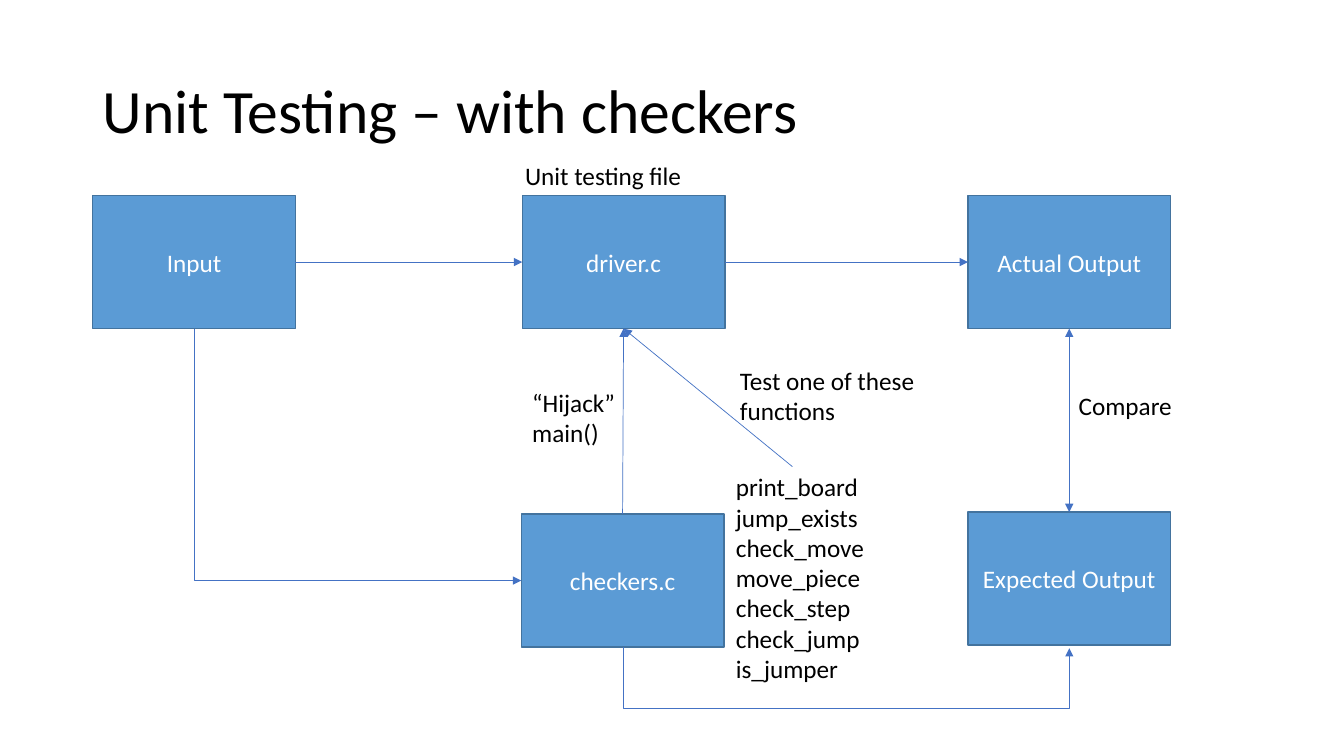
import pptx
import pptx.util
import pptx.dml.color
import pptx.enum.shapes
import pptx.enum.text
import pptx.oxml
import pptx.oxml.ns
from lxml import etree

Inches = pptx.util.Inches
Pt = pptx.util.Pt
ALIGN = pptx.enum.text.PP_ALIGN
ANCHOR = pptx.enum.text.MSO_ANCHOR
CONNECTOR = pptx.enum.shapes.MSO_CONNECTOR
COLORS = {
    "text": "000000",
    "box": "5B9BD5",
    "box_line": "43739E",
    "box_text": "FFFFFF",
    "arrow": "4472C4",
}
BOX_WIDTH, BOX_HEIGHT = 2.01, 1.32
TOP, LEFT, BOTTOM, RIGHT = range(4)


def rgb(name):
    return pptx.dml.color.RGBColor.from_string(COLORS[name])


def write(shape, text, size=18, color="text", align=ALIGN.LEFT, anchor=ANCHOR.TOP, spacing=1.0):
    frame = shape.text_frame
    frame.word_wrap = True
    frame.auto_size = pptx.enum.text.MSO_AUTO_SIZE.NONE
    frame.vertical_anchor = anchor
    frame.text = text
    for paragraph in frame.paragraphs:
        paragraph.alignment = align
        paragraph.line_spacing = spacing
        font = paragraph.font
        font.name, font.size, font.color.rgb = "Calibri", Pt(size), rgb(color)


def add_label(slide, text, left, top, width, height):
    label = slide.shapes.add_textbox(*map(Inches, (left, top, width, height)))
    write(label, text)


def add_box(slide, text, left, top):
    box = slide.shapes.add_shape(
        pptx.enum.shapes.MSO_SHAPE.RECTANGLE,
        *map(Inches, (left, top, BOX_WIDTH, BOX_HEIGHT)))
    box.shadow.inherit = False
    box.fill.solid()
    box.fill.fore_color.rgb = rgb("box")
    box.line.color.rgb = rgb("box_line")
    box.line.width = Pt(1)
    write(box, text, color="box_text", align=ALIGN.CENTER, anchor=ANCHOR.MIDDLE)
    return box


def add_arrow(slide, start=(0, 0), end=(0, 0), kind=CONNECTOR.STRAIGHT, heads=("tailEnd",)):
    arrow = slide.shapes.add_connector(kind, *map(Inches, (*start, *end)))
    arrow.line.color.rgb = rgb("arrow")
    arrow.line.width = Pt(0.5)
    line = arrow.line._get_or_add_ln()
    for head in heads:
        etree.SubElement(line, pptx.oxml.ns.qn(f"a:{head}"), type="triangle")
    etree.SubElement(arrow._element.spPr, pptx.oxml.ns.qn("a:effectLst"))
    return arrow


def link(slide, source, source_side, target, target_side, **options):
    arrow = add_arrow(slide, **options)
    arrow.begin_connect(source, source_side)
    arrow.end_connect(target, target_side)


def add_downward_elbow(slide, start, end, preset, bend=None):
    (x1, y1), (x2, y2) = start, end
    center_x, center_y = (x1 + x2) / 2, (y1 + y2) / 2
    half_width, half_height = (y2 - y1) / 2, (x2 - x1) / 2
    elbow = add_arrow(
        slide,
        (center_x - half_width, center_y - half_height),
        (center_x + half_width, center_y + half_height),
        CONNECTOR.ELBOW)
    properties = elbow._element.spPr
    transform = properties.find(pptx.oxml.ns.qn("a:xfrm"))
    transform.set("rot", "16200000")
    transform.set("flipH", "1")
    geometry = properties.find(pptx.oxml.ns.qn("a:prstGeom"))
    geometry.set("prst", preset)
    if bend is not None:
        adjustments = geometry.find(pptx.oxml.ns.qn("a:avLst"))
        ratio = round(bend / (y2 - y1) * 100000)
        etree.SubElement(adjustments, pptx.oxml.ns.qn("a:gd"), name="adj1", fmla=f"val {ratio}")


def build_title(slide, left, top, width, height):
    title = slide.shapes.title
    title.left, title.top, title.width, title.height = map(Inches, (left, top, width, height))
    write(title, "Unit Testing – with checkers", size=44, anchor=ANCHOR.MIDDLE, spacing=0.9)


def build_test_flow(slide, left, top):
    middle, right = left + 4.26, left + 8.68
    lower = top + 3.15
    half_box = BOX_WIDTH / 2
    input_box = add_box(slide, "Input", left, top)
    driver = add_box(slide, "driver.c", middle, top)
    actual = add_box(slide, "Actual Output", right, top)
    checkers = add_box(slide, "checkers.c", middle - 0.01, lower + 0.01)
    expected = add_box(slide, "Expected Output", right, lower - 0.01)

    link(slide, input_box, RIGHT, driver, LEFT)
    link(slide, driver, RIGHT, actual, LEFT)
    link(slide, checkers, TOP, driver, BOTTOM)
    link(slide, actual, BOTTOM, expected, TOP, heads=("headEnd", "tailEnd"))
    add_arrow(slide, (left + 6.94, top + 2.69), (middle + half_box, top + BOX_HEIGHT))

    add_downward_elbow(
        slide, (left + half_box, top + BOX_HEIGHT),
        (middle - 0.01, lower + 0.01 + BOX_HEIGHT / 2), "bentConnector2")
    checkers_bottom = lower + 0.01 + BOX_HEIGHT
    add_downward_elbow(
        slide, (middle + half_box, checkers_bottom),
        (right + half_box, checkers_bottom + 0.01), "bentConnector3", bend=0.62)

    functions = ["print_board", "jump_exists", "check_move", "move_piece",
                 "check_step", "check_jump", "is_jumper"]
    add_label(slide, "\n".join(functions), left + 6.28, top + 2.69, 2.91, 2.22)
    add_label(slide, "Unit testing file", left + 4.19, top - 0.4, 2.13, 0.4)
    add_label(slide, "“Hijack” main()", middle, top + 1.85, 1.05, 0.71)
    add_label(slide, "Test one of these functions", left + 6.32, top + 1.63, 2.04, 0.71)
    add_label(slide, "Compare", left + 9.68, top + 1.88, 1.2, 0.4)


presentation = pptx.Presentation()
presentation.slide_width, presentation.slide_height = Inches(13.33), Inches(7.5)
checkers_slide = presentation.slides.add_slide(presentation.slide_layouts[5])
build_title(checkers_slide, 0.92, 0.4, 11.5, 1.45)
build_test_flow(checkers_slide, 0.92, 1.94)
presentation.save("out.pptx")
